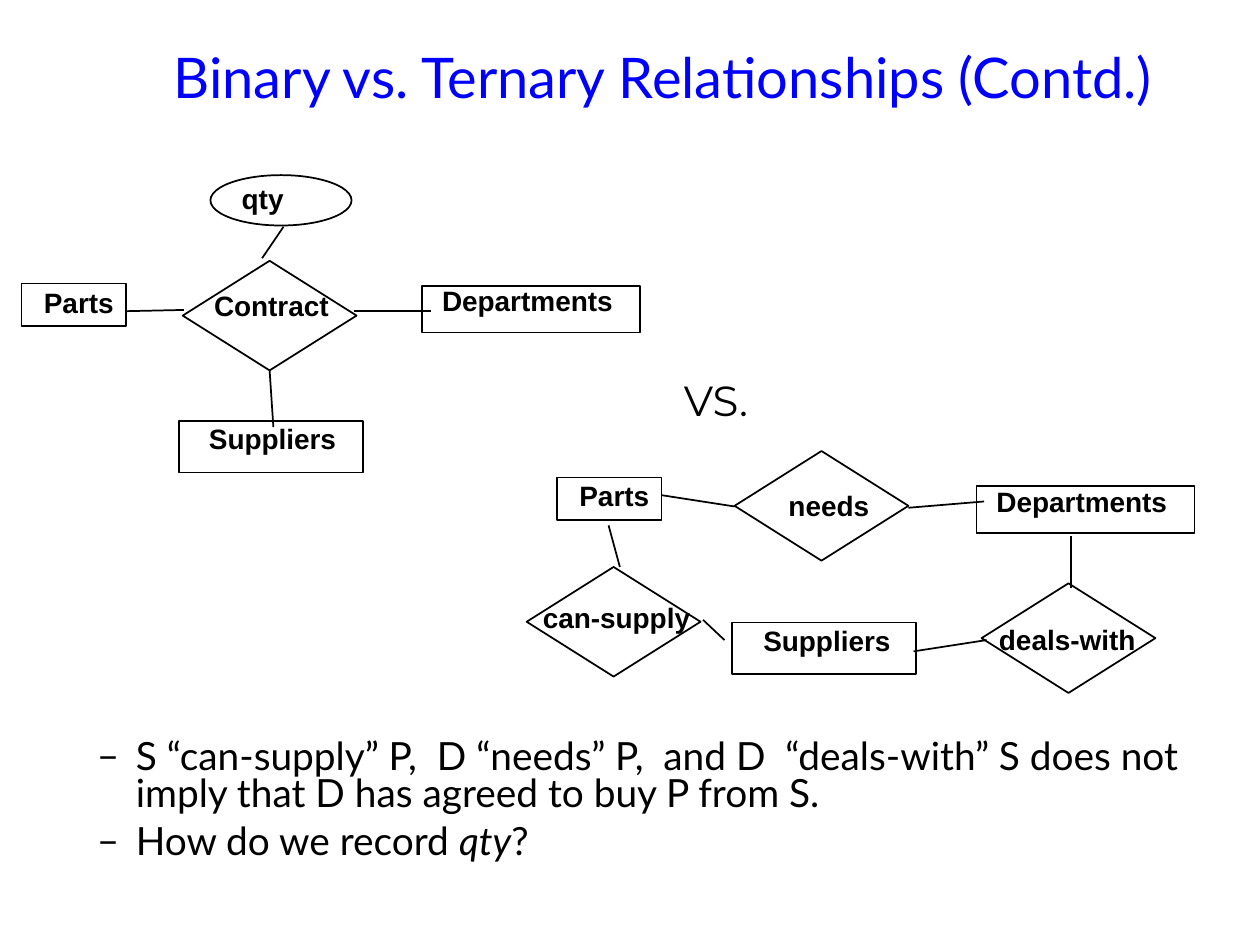
"""Build a slide comparing a ternary relationship with three binary ones."""
from dataclasses import dataclass

import pptx
import pptx.util
import pptx.dml.color
import pptx.enum.shapes
import pptx.enum.text
import pptx.oxml.ns
from lxml import etree

Inches = pptx.util.Inches
Pt = pptx.util.Pt
RGB = pptx.dml.color.RGBColor
MSO = pptx.enum.shapes.MSO_SHAPE


@dataclass(frozen=True)
class Theme:
    ink: RGB = RGB(0, 0, 0)
    title: RGB = RGB(0, 0, 255)
    text_font: str = "Lato"
    label_font: str = "Arial"
    versus_font: str = "Montserrat"
    title_size: float = 32
    body_size: float = 22.2
    label_size: float = 16
    versus_size: float = 24
    line: float = 1


theme = Theme()


def add_box(s, x, y, w, h):
    tf = s.shapes.add_textbox(Inches(x), Inches(y), Inches(w), Inches(h)).text_frame
    tf.word_wrap = True
    return tf


def add_run(p, text, font, size, color, bold=False, italic=False):
    r = p.add_run()
    r.text = text
    r.font.name = font
    r.font.size = Pt(size)
    r.font.color.rgb = color
    r.font.bold = bold
    r.font.italic = italic


prs = pptx.Presentation()
prs.slide_width = Inches(10)
prs.slide_height = Inches(7.5)
s = prs.slides.add_slide(prs.slide_layouts[6])

tf = add_box(s, 1.28, 0, 8.47, 1.21)
tf.vertical_anchor = pptx.enum.text.MSO_ANCHOR.MIDDLE
add_run(tf.paragraphs[0], "Binary vs. Ternary Relationships (Contd.)",
        theme.text_font, theme.title_size, theme.title)

diamond = (MSO.DIAMOND, 1.38, 0.87)
parts = (MSO.RECTANGLE, 0.83, 0.34)
departments = (MSO.RECTANGLE, 1.73, 0.37)
suppliers = (MSO.RECTANGLE, 1.46, 0.41)
attribute = (MSO.OVAL, 1.12, 0.4)

nodes = [
    ("qty", attribute, 1.67, 1.39, 1.82, 1.39, 0.53),
    ("Contract", diamond, 1.45, 2.07, 1.6, 2.24, 1.11),
    ("Parts", parts, 0.17, 2.25, 0.25, 2.22, 0.75),
    ("Departments", departments, 3.35, 2.27, 3.41, 2.2, 1.55),
    ("Suppliers", suppliers, 1.42, 3.34, 1.56, 3.3, 1.21),
    ("Parts", parts, 4.42, 3.79, 4.5, 3.75, 0.75),
    ("needs", diamond, 5.83, 3.58, 6.16, 3.83, 0.84),
    ("Departments", departments, 7.75, 3.86, 7.81, 3.8, 1.55),
    ("can-supply", diamond, 4.18, 4.5, 4.21, 4.72, 1.37),
    ("Suppliers", suppliers, 5.81, 4.94, 5.96, 4.9, 1.21),
    ("deals-with", diamond, 7.79, 4.63, 7.83, 4.89, 1.28),
]
for label, (kind, w, h), x, y, label_x, label_y, label_w in nodes:
    sp = s.shapes.add_shape(kind, Inches(x), Inches(y), Inches(w), Inches(h))
    sp.shadow.inherit = False
    sp.fill.background()
    sp.line.color.rgb = theme.ink
    sp.line.width = Pt(theme.line)
    tf = add_box(s, label_x, label_y, label_w, 0.36)
    tf.margin_right = Inches(0)
    add_run(tf.paragraphs[0], label, theme.label_font, theme.label_size, theme.ink, bold=True)

links = [
    (2.25, 1.8, 2.08, 2.05),
    (1.46, 2.46, 1, 2.47),
    (2.81, 2.47, 3.42, 2.47),
    (2.14, 2.94, 2.17, 3.39),
    (5.25, 3.93, 5.83, 4.02),
    (7.21, 4.03, 7.81, 3.98),
    (4.83, 4.17, 4.92, 4.5),
    (5.58, 4.92, 5.75, 5.08),
    (7.25, 5.17, 7.83, 5.08),
    (8.5, 4.67, 8.5, 4.25),
]
for ends in links:
    link = s.shapes.add_connector(pptx.enum.shapes.MSO_CONNECTOR.STRAIGHT,
                                  *[Inches(v) for v in ends])
    link.line.color.rgb = theme.ink
    link.line.width = Pt(theme.line)
    etree.SubElement(link._element.spPr, pptx.oxml.ns.qn("a:effectLst"))

tf = add_box(s, 5.33, 2.92, 1, 0.5)
add_run(tf.paragraphs[0], "VS.", theme.versus_font, theme.versus_size, theme.ink)

points = [
    [("S “can-supply” P,  D “needs” P,  and D  “deals-with” S does not imply "
      "that D has agreed to buy P from S.", False)],
    [("How do we record ", False), ("qty", True), ("?", False)],
]
tf = add_box(s, 0.17, 5.83, 9.83, 1.08)
for i, runs in enumerate(points):
    p = tf.add_paragraph() if i else tf.paragraphs[0]
    pPr = p._p.get_or_add_pPr()
    pPr.set("marL", str(Inches(0.81)))
    pPr.set("indent", str(Inches(-0.31)))
    etree.SubElement(pPr, pptx.oxml.ns.qn("a:buFont")).set("typeface", theme.text_font)
    etree.SubElement(pPr, pptx.oxml.ns.qn("a:buChar")).set("char", "–")
    p.line_spacing = 0.8
    p.space_before = Pt(6 if i else 0)
    for text, italic in runs:
        add_run(p, text, theme.text_font, theme.body_size, theme.ink, italic=italic)

prs.save("out.pptx")
